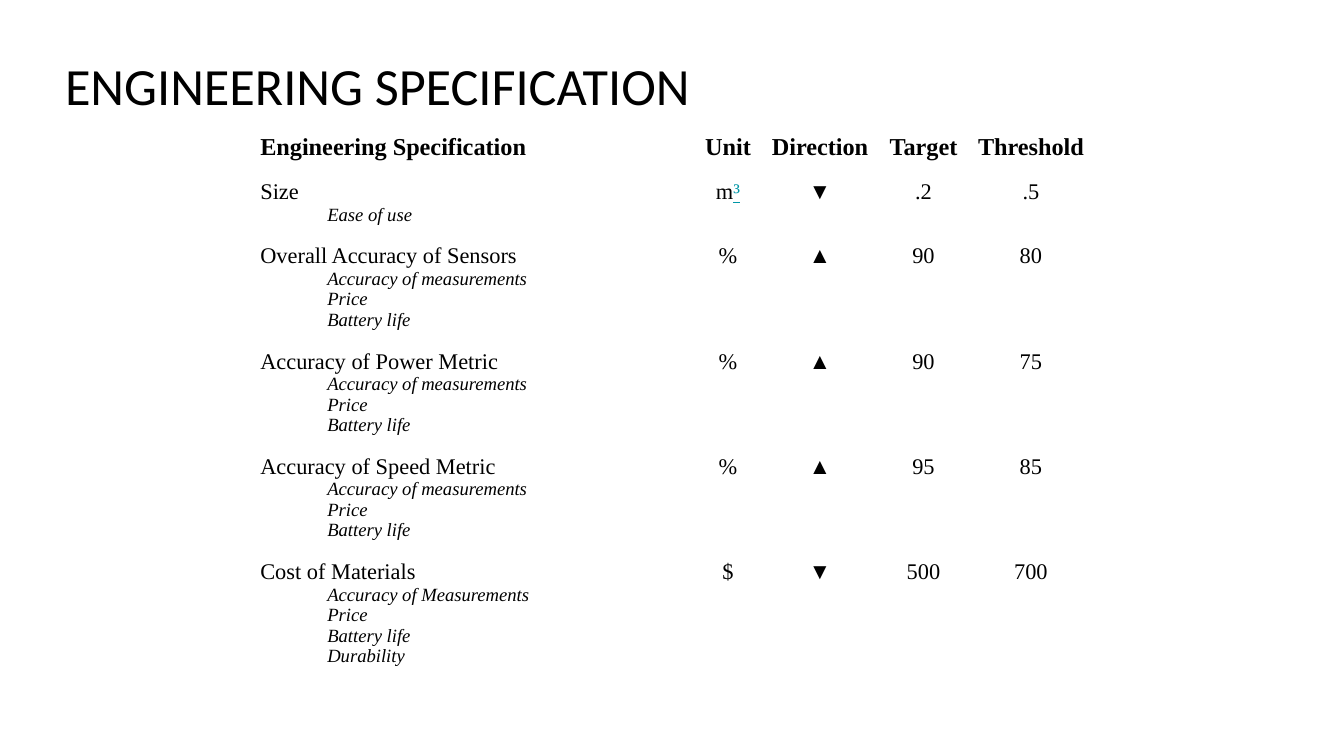
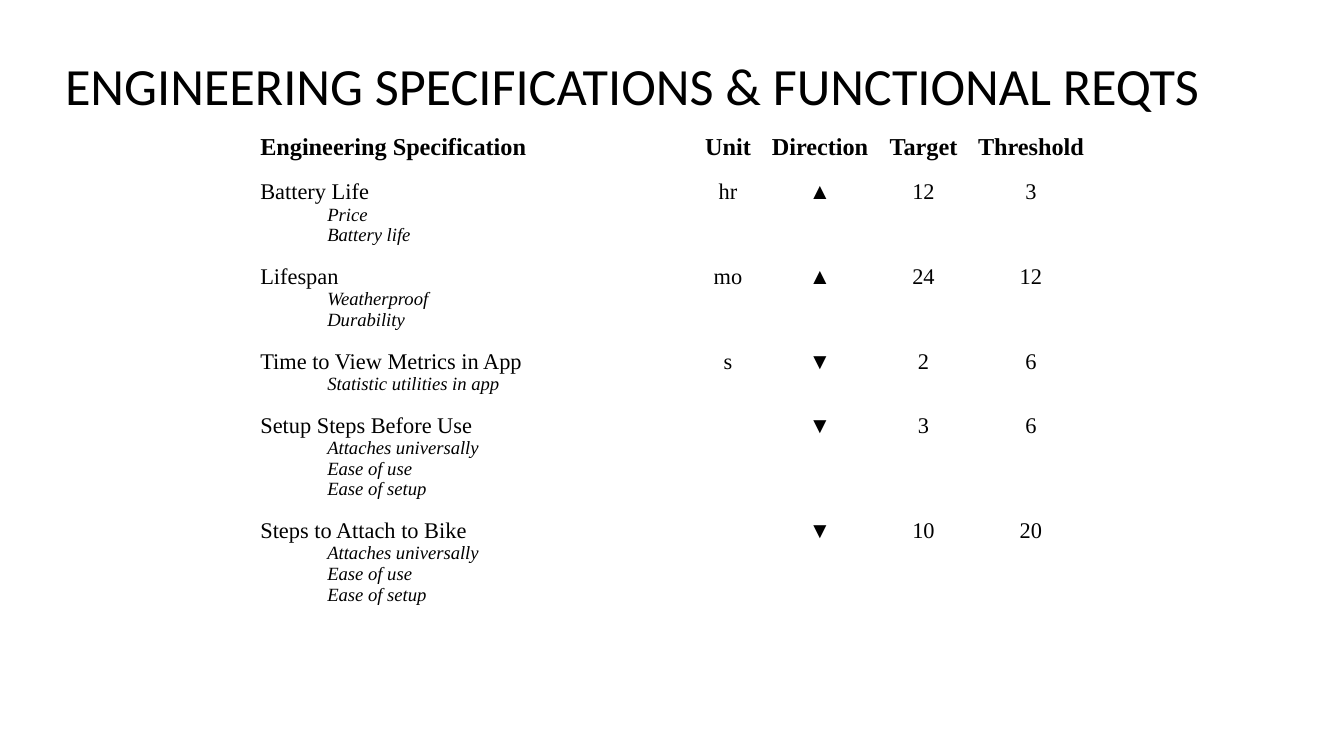
from lxml import etree
from pptx import Presentation
from pptx.dml.color import RGBColor
from pptx.enum.text import MSO_ANCHOR, MSO_AUTO_SIZE, PP_ALIGN
from pptx.oxml.ns import qn
from pptx.util import Pt

LEFT, MID = PP_ALIGN.LEFT, PP_ALIGN.CENTER
TOP = MSO_ANCHOR.TOP
FIXED = MSO_AUTO_SIZE.NONE

# Content: name, linked needs, unit, direction, target, threshold
HEAD = ("Engineering Specification", [], "Unit", "Direction", "Target", "Threshold")
UP, DOWN = "▲", "▼"
SENSE = ["Accuracy of measurements", "Price", "Battery life"]
SETUP = ["Attaches universally", "Ease of use", "Ease of setup"]
SLIDES = [
    ("ENGINEERING SPECIFICATION", [
        ("Size", ["Ease of use"], "m³", DOWN, ".2", ".5"),
        ("Overall Accuracy of Sensors", SENSE, "%", UP, "90", "80"),
        ("Accuracy of Power Metric", SENSE, "%", UP, "90", "75"),
        ("Accuracy of Speed Metric", SENSE, "%", UP, "95", "85"),
        ("Cost of Materials",
         ["Accuracy of Measurements", "Price", "Battery life", "Durability"],
         "$", DOWN, "500", "700"),
    ]),
    ("ENGINEERING SPECIFICATIONS & FUNCTIONAL REQTS", [
        ("Battery Life", ["Price", "Battery life"], "hr", UP, "12", "3"),
        ("Lifespan", ["Weatherproof", "Durability"], "mo", UP, "24", "12"),
        ("Time to View Metrics in App", ["Statistic utilities in app"],
         "s", DOWN, "2", "6"),
        ("Setup Steps Before Use", SETUP, "", DOWN, "3", "6"),
        ("Steps to Attach to Bike", SETUP, "", DOWN, "10", "20"),
    ]),
]

# Shared style
COLORS = {"ink": "000000", "mark": "0097A7", "rule": "FFFFFF"}
TITLE_FONT, BODY_FONT = "Calibri", "Times New Roman"
TITLE_BOX = (52, 40, 1253, 85)
TABLE_AT = (251, 125)
COLS = (444, 66, 118, 89, 126)
INDENT = 67
PAD = Pt(5)


def px(n):
    return round(n * 914400 / 134.4)


def color(name):
    return RGBColor.from_string(COLORS[name])


def style(par, face, size, align, bold=False, italic=False):
    par.alignment = align
    font = par.font
    font.name, font.size = face, Pt(size)
    font.bold, font.italic = bold, italic
    font.color.rgb = color("ink")


def border(cell):
    props = cell._tc.get_or_add_tcPr()
    for at, side in enumerate(("lnL", "lnR", "lnT", "lnB")):
        line = etree.Element(qn("a:" + side), w=str(Pt(1)))
        fill = etree.SubElement(line, qn("a:solidFill"))
        etree.SubElement(fill, qn("a:srgbClr"), val=COLORS["rule"])
        props.insert(at, line)


def write(par, text):
    # A raised three is set apart as a marked run
    base, cube, _ = text.partition("³")
    par.add_run().text = base
    if cube:
        run = par.add_run()
        run.text = cube
        run.font.color.rgb = color("mark")
        run.font.underline = True


def add_title(slide, text):
    title = slide.shapes.title
    title.left, title.top, title.width, title.height = map(px, TITLE_BOX)
    frame = title.text_frame
    frame.text = text
    frame.word_wrap, frame.auto_size = True, FIXED
    frame.vertical_anchor = TOP
    frame.margin_left = frame.margin_right = px(13)
    frame.margin_top = frame.margin_bottom = px(13)
    style(frame.paragraphs[0], TITLE_FONT, 28, LEFT)


def add_specs(slide, specs):
    rows = [HEAD] + specs
    # Rows start minimal and grow to fit their text
    table = slide.shapes.add_table(
        len(rows), len(COLS), *map(px, (*TABLE_AT, sum(COLS), len(rows)))).table
    table.first_row = table.horz_banding = False
    for col, width in zip(table.columns, COLS):
        col.width = px(width)
    for r, (name, needs, *values) in enumerate(rows):
        for c, text in enumerate([name] + values):
            cell = table.cell(r, c)
            cell.fill.background()
            border(cell)
            cell.margin_left = cell.margin_right = PAD
            cell.margin_top = cell.margin_bottom = PAD
            cell.vertical_anchor = TOP
            par = cell.text_frame.paragraphs[0]
            style(par, BODY_FONT, 12 if r else 13, MID if c else LEFT, bold=r == 0)
            if text:
                write(par, text)
        # Needs sit indented under the name
        for need in needs:
            par = table.cell(r, 0).text_frame.add_paragraph()
            par.text = need
            style(par, BODY_FONT, 10, LEFT, italic=True)
            props = par._p.get_or_add_pPr()
            props.set("marL", str(px(INDENT)))
            props.set("indent", "0")


def main():
    deck = Presentation()
    deck.slide_width, deck.slide_height = px(1344), px(756)
    for title, specs in SLIDES:
        slide = deck.slides.add_slide(deck.slide_layouts[5])
        add_title(slide, title)
        add_specs(slide, specs)
    deck.save("out.pptx")


if __name__ == "__main__":
    main()
